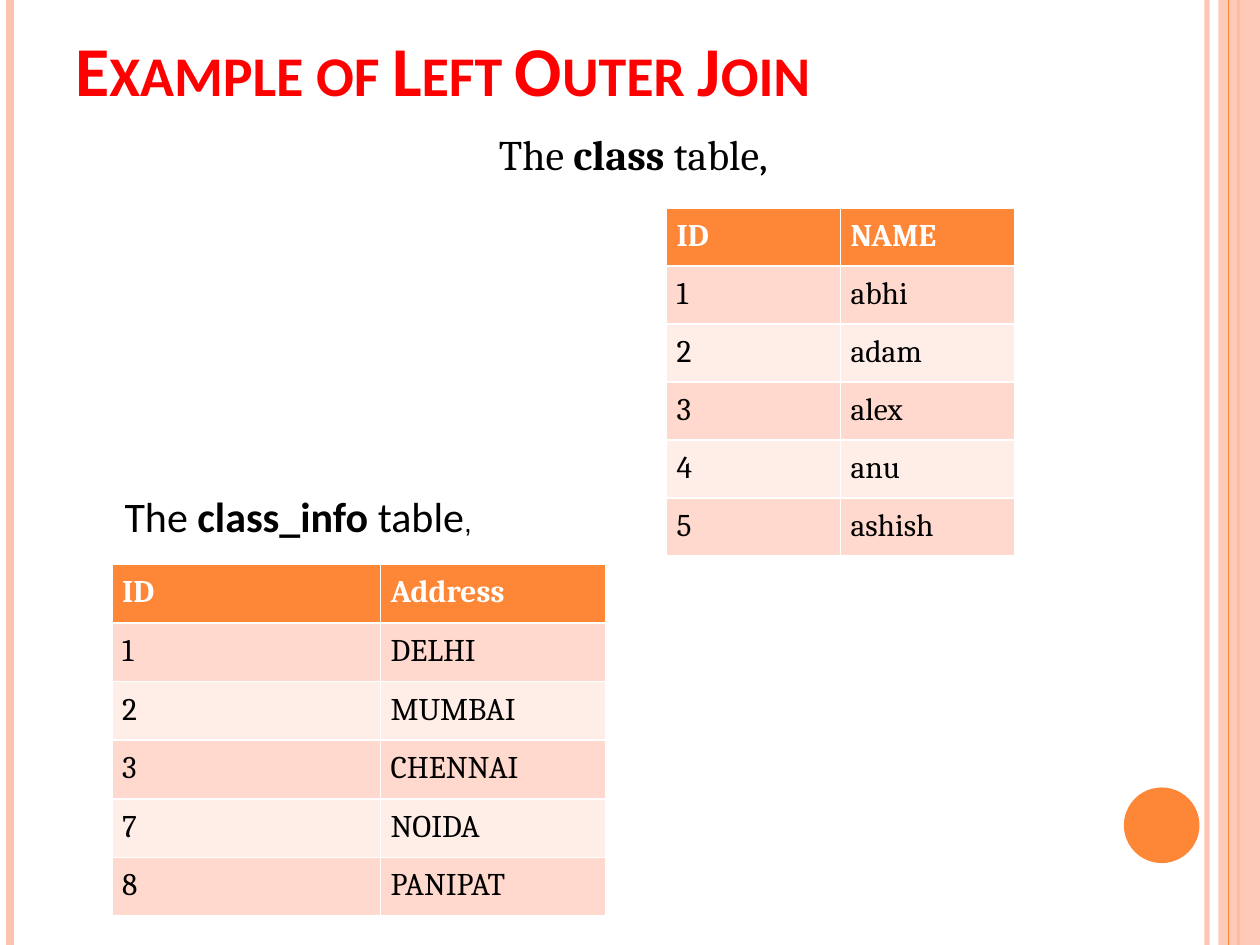
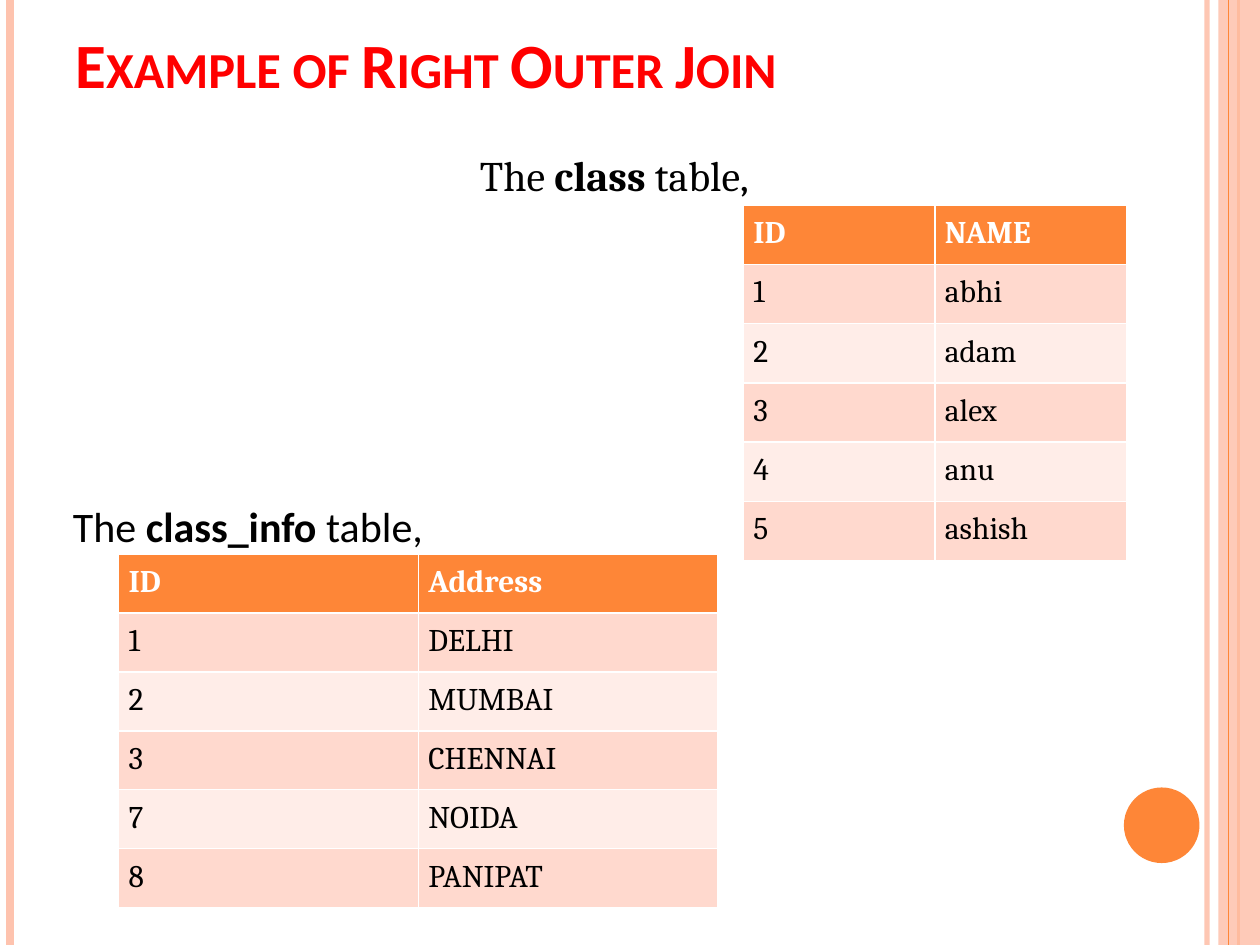
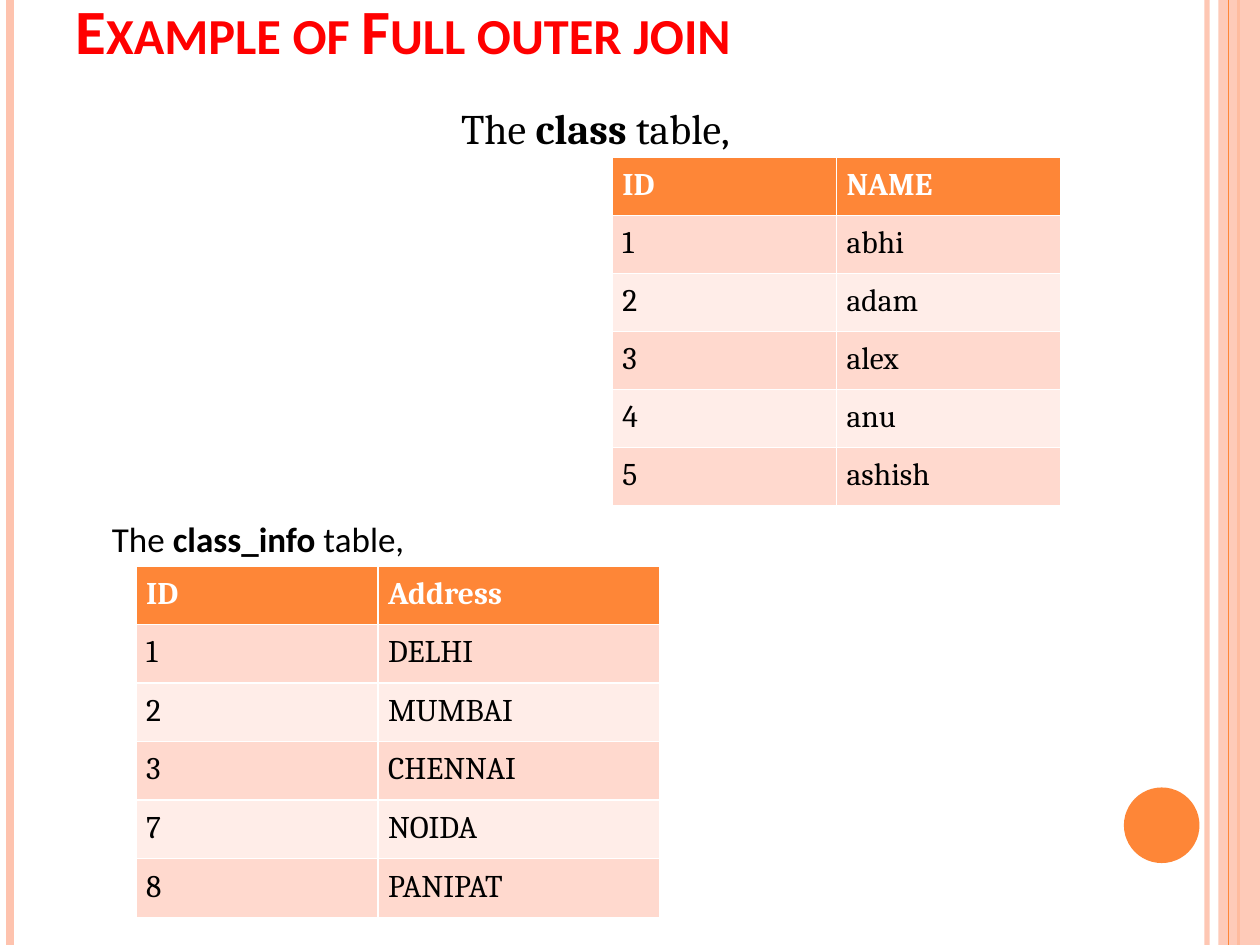
from dataclasses import dataclass

from lxml import etree
from pptx import Presentation
from pptx.dml.color import RGBColor
from pptx.enum.shapes import MSO_CONNECTOR, MSO_SHAPE
from pptx.enum.text import MSO_ANCHOR
from pptx.oxml.ns import qn
from pptx.util import Emu, Inches, Pt

STRAIGHT = MSO_CONNECTOR.STRAIGHT
RECTANGLE, OVAL = MSO_SHAPE.RECTANGLE, MSO_SHAPE.OVAL
TOP, BOTTOM = MSO_ANCHOR.TOP, MSO_ANCHOR.BOTTOM
BLANK_LAYOUT = 6
GRID_COLUMNS, GRID_ROWS = 100, 75


@dataclass(frozen=True)
class Theme:
    accent: str = "FE8637"
    band: str = "FEC3AE"
    odd_row: str = "FFD9CE"
    even_row: str = "FFEDE8"
    title: str = "FF0000"
    ink: str = "000000"
    paper: str = "FFFFFF"
    sans: str = "Calibri"
    serif: str = "Cambria"
    comma_font: str = "Arial"
    caption_size: int = 24
    small_caption_size: int = 20
    comma_size: int = 16
    cell_size: int = 18
    cell_inset: float = 0.8
    border: float = 1


class Deck:
    """Holds the theme and the current slide; lengths are grid columns and rows."""

    def __init__(self, theme):
        self.theme = theme
        self.presentation = Presentation()
        self.presentation.slide_width = Inches(10)
        self.presentation.slide_height = Inches(7.5)
        self.slide = None

    def columns(self, count):
        return Emu(round(self.presentation.slide_width * count / GRID_COLUMNS))

    def rows(self, count):
        return Emu(round(self.presentation.slide_height * count / GRID_ROWS))

    def place(self, left, top, width, height):
        return self.columns(left), self.rows(top), self.columns(width), self.rows(height)

    def new_slide(self):
        layout = self.presentation.slide_layouts[BLANK_LAYOUT]
        self.slide = self.presentation.slides.add_slide(layout)
        self.side_bands()

    # Shapes and lines
    def set_opacity(self, shape, percent):
        for color in shape.element.iter(qn("a:srgbClr")):
            etree.SubElement(color, qn("a:alpha"), val=str(percent * 1000))

    def vertical_line(self, column, color, weight, opacity=100):
        x = self.columns(column)
        line = self.slide.shapes.add_connector(STRAIGHT, x, 0, x, self.rows(GRID_ROWS))
        line.line.color.rgb = RGBColor.from_string(color)
        line.line.width = Pt(weight)
        etree.SubElement(line.element.spPr, qn("a:effectLst"))
        if opacity < 100:
            self.set_opacity(line, opacity)

    def shape(self, kind, box, color, opacity=100):
        shape = self.slide.shapes.add_shape(kind, *self.place(*box))
        shape.shadow.inherit = False
        shape.fill.solid()
        shape.fill.fore_color.rgb = RGBColor.from_string(color)
        shape.line.fill.background()
        if opacity < 100:
            self.set_opacity(shape, opacity)

    def side_bands(self):
        theme = self.theme
        self.vertical_line(95.8, theme.band, 3, opacity=93)
        self.vertical_line(0.8, theme.band, 4.5)
        self.vertical_line(98.3, theme.accent, 1.5)
        self.shape(RECTANGLE, (96.7, 0, 3.3, GRID_ROWS), theme.band, opacity=87)
        self.vertical_line(97.5, theme.accent, 0.75)
        self.shape(OVAL, (89.2, 62.5, 6, 6), theme.accent)

    # Text
    def style(self, run, font, size, color, bold=False):
        run.font.name = font
        run.font.size = Pt(size)
        run.font.bold = bold
        run.font.color.rgb = RGBColor.from_string(color)

    def text_frame(self, box, anchor=TOP):
        frame = self.slide.shapes.add_textbox(*self.place(*box)).text_frame
        frame.word_wrap = True
        frame.vertical_anchor = anchor
        return frame

    def title(self, text, box, size, space_below):
        frame = self.text_frame(box, BOTTOM)
        frame.margin_top = 0
        frame.margin_bottom = self.rows(space_below)
        frame.text = text
        run = frame.paragraphs[0].runs[0]
        self.style(run, self.theme.sans, size, self.theme.title, bold=True)
        run.font._element.set("cap", "small")

    def caption(self, table_name, box, font, size, indent=1, inset_top=0.5, small_comma=False):
        theme = self.theme
        frame = self.text_frame(box)
        frame.margin_left = self.columns(indent)
        frame.margin_top = self.rows(inset_top)
        for text in ("The ", table_name, " table", ","):
            run = frame.paragraphs[0].add_run()
            run.text = text
            self.style(run, font, size, theme.ink, bold=text == table_name)
        if small_comma:
            self.style(run, theme.comma_font, theme.comma_size, theme.ink)

    # Tables
    def cell(self, cell, text, fill, color, bold):
        theme = self.theme
        cell.margin_left = cell.margin_right = self.columns(theme.cell_inset)
        cell.margin_top = cell.margin_bottom = self.rows(theme.cell_inset)
        cell.text = text
        self.style(cell.text_frame.paragraphs[0].runs[0], theme.serif, theme.cell_size, color, bold)
        properties = cell._tc.get_or_add_tcPr()
        for side in ("lnL", "lnR", "lnT", "lnB"):
            border = etree.SubElement(properties, qn(f"a:{side}"), w=str(Pt(theme.border)))
            paint = etree.SubElement(border, qn("a:solidFill"))
            etree.SubElement(paint, qn("a:srgbClr"), val=theme.paper)
        cell.fill.solid()
        cell.fill.fore_color.rgb = RGBColor.from_string(fill)

    def table(self, records, left, top, widths, row_height):
        theme = self.theme
        box = self.place(left, top, sum(widths), row_height * len(records))
        table = self.slide.shapes.add_table(len(records), len(widths), *box).table
        table.horz_banding = False
        for column, width in zip(table.columns, widths):
            column.width = self.columns(width)
        for row, record in enumerate(records):
            table.rows[row].height = self.rows(row_height)
            header = row == 0
            stripe = theme.odd_row if row % 2 else theme.even_row
            for column, text in enumerate(record):
                self.cell(table.cell(row, column), text,
                          fill=theme.accent if header else stripe,
                          color=theme.paper if header else theme.ink,
                          bold=header)


CLASS_RECORDS = [("ID", "NAME"), ("1", "abhi"), ("2", "adam"), ("3", "alex"),
                 ("4", "anu"), ("5", "ashish")]
CLASS_INFO_RECORDS = [("ID", "Address"), ("1", "DELHI"), ("2", "MUMBAI"), ("3", "CHENNAI"),
                      ("7", "NOIDA"), ("8", "PANIPAT")]

THEME = Theme()

# One entry per join: title, then caption and table for class and class_info
JOINS = [
    dict(
        title=dict(text="Example of Left Outer Join", box=(5, 3, 81.7, 12.5),
                   size=40, space_below=6.8),
        class_caption=dict(box=(5, 9.4, 81.7, 63.5), indent=34.6),
        class_table=dict(left=52.9, top=16.5, widths=(13.8, 13.8), row_height=4.5),
        info_caption=dict(box=(8.9, 38.4, 34, 5), size=THEME.caption_size, small_comma=True),
        info_table=dict(left=8.9, top=44.8, widths=(21.3, 17.9), row_height=4.65),
    ),
    dict(
        title=dict(text="Example of Right Outer Join", box=(5, 3, 81.7, 9.7),
                   size=36, space_below=4.7),
        class_caption=dict(box=(5, 11.1, 81.7, 59.7), indent=33.1),
        class_table=dict(left=59, top=16.3, widths=(15.2, 15.2), row_height=4.7),
        info_caption=dict(box=(4.8, 39.2, 34.9, 5), size=THEME.caption_size),
        info_table=dict(left=9.4, top=44, widths=(23.8, 23.8), row_height=4.67),
    ),
    dict(
        title=dict(text="Example of Full outer join", box=(5, 0, 81.7, 11.7),
                   size=36, space_below=6.7),
        class_caption=dict(box=(5, 7.3, 81.7, 63.5), indent=31.6),
        class_table=dict(left=48.6, top=12.5, widths=(17.8, 17.8), row_height=4.5),
        info_caption=dict(box=(7.9, 40.6, 32.7, 4.4), size=THEME.small_caption_size),
        info_table=dict(left=10.8, top=44.9, widths=(19.2, 22.4), row_height=4.65),
    ),
]


def main():
    deck = Deck(THEME)
    for join in JOINS:
        deck.new_slide()
        deck.title(**join["title"])
        deck.caption("class", font=THEME.serif, size=THEME.caption_size, inset_top=0.8,
                     **join["class_caption"])
        deck.table(CLASS_RECORDS, **join["class_table"])
        deck.caption("class_info", font=THEME.sans, **join["info_caption"])
        deck.table(CLASS_INFO_RECORDS, **join["info_table"])
    deck.presentation.save("out.pptx")


if __name__ == "__main__":
    main()
